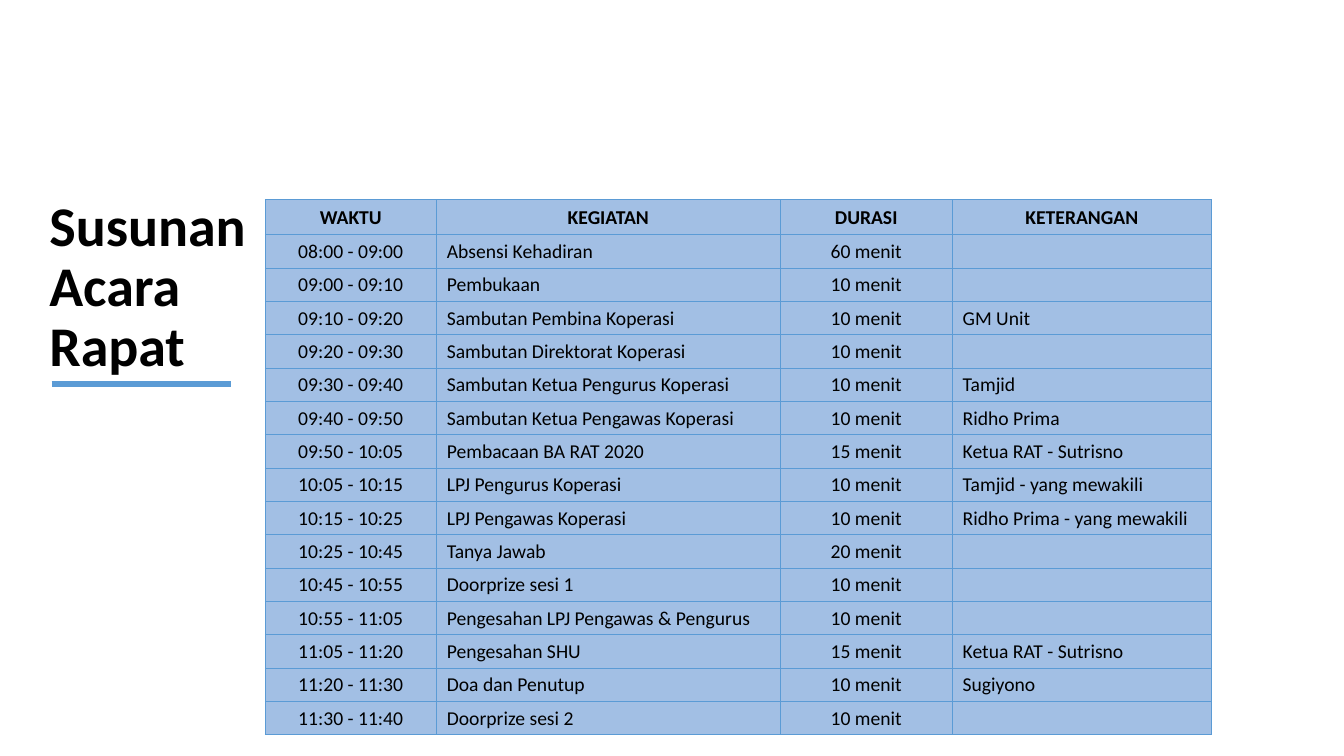
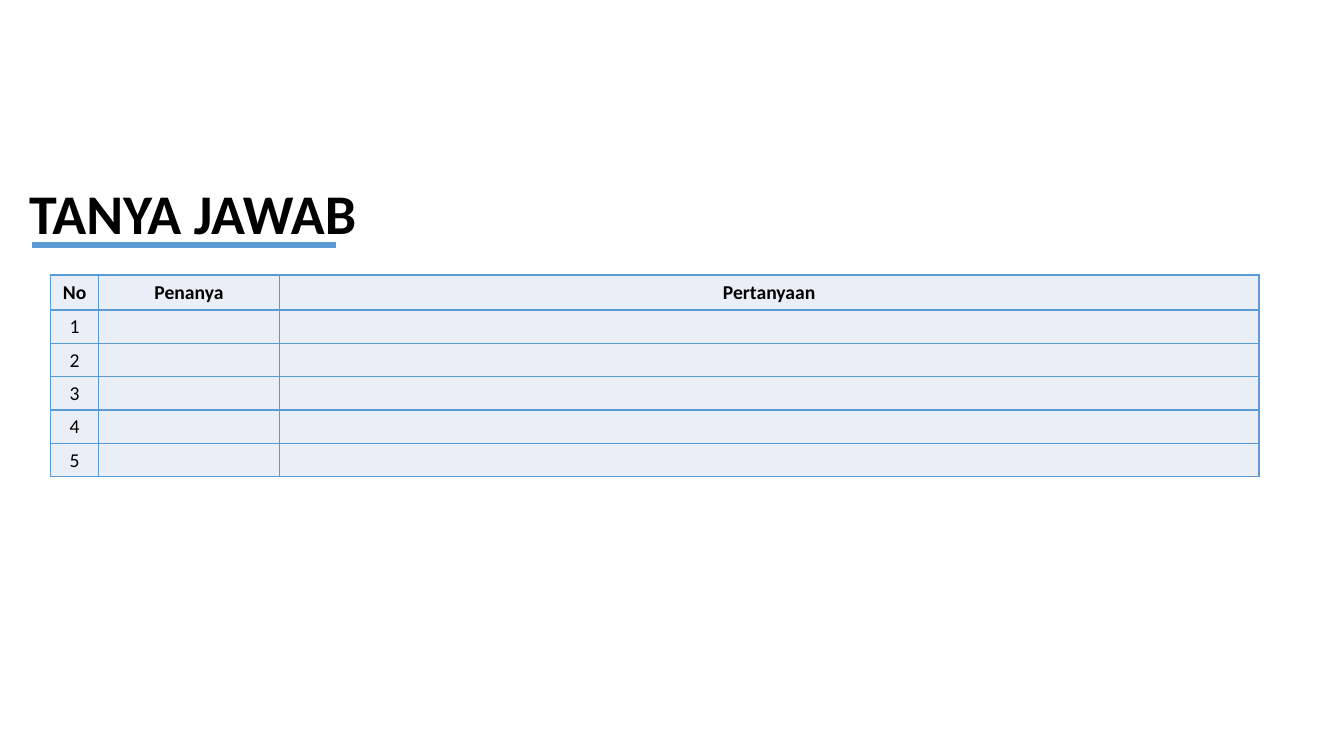
from lxml.etree import SubElement
from pptx import Presentation
from pptx.dml.color import RGBColor
from pptx.enum.shapes import MSO_CONNECTOR
from pptx.enum.text import MSO_ANCHOR, MSO_AUTO_SIZE, PP_ALIGN
from pptx.oxml.ns import qn
from pptx.util import Cm, Pt

COLORS = {"text": "000000", "accent": "5B9BD5", "agenda": "A2BFE4", "questions": "EAEFF7"}

AGENDA = [
    ("WAKTU", "KEGIATAN", "DURASI", "KETERANGAN"),
    ("08:00 - 09:00", "Absensi Kehadiran", "60 menit", ""),
    ("09:00 - 09:10", "Pembukaan", "10 menit", ""),
    ("09:10 - 09:20", "Sambutan Pembina Koperasi", "10 menit", "GM Unit"),
    ("09:20 - 09:30", "Sambutan Direktorat Koperasi", "10 menit", ""),
    ("09:30 - 09:40", "Sambutan Ketua Pengurus Koperasi", "10 menit", "Tamjid"),
    ("09:40 - 09:50", "Sambutan Ketua Pengawas Koperasi", "10 menit", "Ridho Prima"),
    ("09:50 - 10:05", "Pembacaan BA RAT 2020", "15 menit", "Ketua RAT - Sutrisno"),
    ("10:05 - 10:15", "LPJ Pengurus Koperasi", "10 menit", "Tamjid - yang mewakili"),
    ("10:15 - 10:25", "LPJ Pengawas Koperasi", "10 menit", "Ridho Prima - yang mewakili"),
    ("10:25 - 10:45", "Tanya Jawab", "20 menit", ""),
    ("10:45 - 10:55", "Doorprize sesi 1", "10 menit", ""),
    ("10:55 - 11:05", "Pengesahan LPJ Pengawas & Pengurus", "10 menit", ""),
    ("11:05 - 11:20", "Pengesahan SHU", "15 menit", "Ketua RAT - Sutrisno"),
    ("11:20 - 11:30", "Doa dan Penutup", "10 menit", "Sugiyono"),
    ("11:30 - 11:40", "Doorprize sesi 2", "10 menit", ""),
]
QUESTIONS = [("No", "Penanya", "Pertanyaan")] + [(str(n), "", "") for n in range(1, 6)]


def rgb(name):
    return RGBColor.from_string(COLORS[name])


class Deck:
    font = "Calibri"
    title_size = 40
    table_size = 14
    header_height = 0.88
    row_height = 0.84
    cell_inset = 0.02
    cell_indent = 0.26

    def __init__(self):
        self.presentation = Presentation()
        self.presentation.slide_width = Cm(33.87)
        self.presentation.slide_height = Cm(19.05)
        self.slide = None

    def add_slide(self):
        self.slide = self.presentation.slides.add_slide(self.presentation.slide_layouts[5])

    def style_runs(self, paragraph, size, bold):
        for run in paragraph.runs:
            run.font.name = self.font
            run.font.size = Pt(size)
            run.font.bold = bold
            run.font.color.rgb = rgb("text")

    def title(self, text, left, top, width, height):
        title = self.slide.shapes.title
        title.left, title.top, title.width, title.height = map(Cm, (left, top, width, height))
        frame = title.text_frame
        frame.text = text
        frame.word_wrap = True
        frame.auto_size = MSO_AUTO_SIZE.NONE
        frame.vertical_anchor = MSO_ANCHOR.BOTTOM
        for paragraph in frame.paragraphs:
            paragraph.alignment = PP_ALIGN.LEFT
            paragraph.line_spacing = 0.9
            paragraph.space_before = Pt(0)
            self.style_runs(paragraph, self.title_size, True)

    def underline(self, left, right, y):
        rule = self.slide.shapes.add_connector(
            MSO_CONNECTOR.STRAIGHT, Cm(left), Cm(y), Cm(right), Cm(y))
        rule.line.color.rgb = rgb("accent")
        rule.line.width = Pt(4.5)
        SubElement(rule._element.spPr, qn("a:effectLst"))

    def border(self, cell, width):
        properties = cell._tc.get_or_add_tcPr()
        for side in ("a:lnL", "a:lnR", "a:lnT", "a:lnB"):
            edge = SubElement(properties, qn(side), w=str(Pt(width)))
            paint = SubElement(edge, qn("a:solidFill"))
            SubElement(paint, qn("a:srgbClr"), val=COLORS["accent"])

    def cell(self, cell, text, header, centred, fill, border_width):
        cell.text_frame.text = text
        cell.vertical_anchor = MSO_ANCHOR.MIDDLE
        cell.margin_left = Cm(self.cell_inset if centred else self.cell_indent)
        cell.margin_right = cell.margin_top = Cm(self.cell_inset)
        cell.margin_bottom = 0
        paragraph = cell.text_frame.paragraphs[0]
        paragraph.alignment = PP_ALIGN.CENTER if centred else PP_ALIGN.LEFT
        self.style_runs(paragraph, self.table_size, header)
        self.border(cell, border_width)
        cell.fill.solid()
        cell.fill.fore_color.rgb = rgb(fill)

    def table(self, rows, left, top, widths, fill, border_width, left_columns=()):
        heights = [self.header_height] + [self.row_height] * (len(rows) - 1)
        table = self.slide.shapes.add_table(
            len(rows), len(widths), Cm(left), Cm(top), Cm(sum(widths)), Cm(sum(heights))).table
        for column, width in zip(table.columns, widths):
            column.width = Cm(width)
        for r, (values, height) in enumerate(zip(rows, heights)):
            table.rows[r].height = Cm(height)
            for c, text in enumerate(values):
                header = r == 0
                centred = header or c not in left_columns
                self.cell(table.cell(r, c), text, header, centred, fill, border_width)


def main():
    deck = Deck()

    deck.add_slide()
    deck.title("Susunan\nAcara\nRapat", 0.99, 4.93, 5.51, 4.75)
    deck.table(AGENDA, 6.68, 5.03, (4.32, 8.66, 4.34, 6.53), "agenda", 0.5, left_columns=(1, 3))
    deck.underline(1.3, 5.82, 9.68)

    deck.add_slide()
    deck.title("TANYA JAWAB", 0.48, 4.55, 10.59, 1.78)
    deck.table(QUESTIONS, 1.27, 6.93, (1.22, 4.55, 24.69), "questions", 1)
    deck.underline(0.81, 8.46, 6.17)

    deck.presentation.save("out.pptx")


if __name__ == "__main__":
    main()
